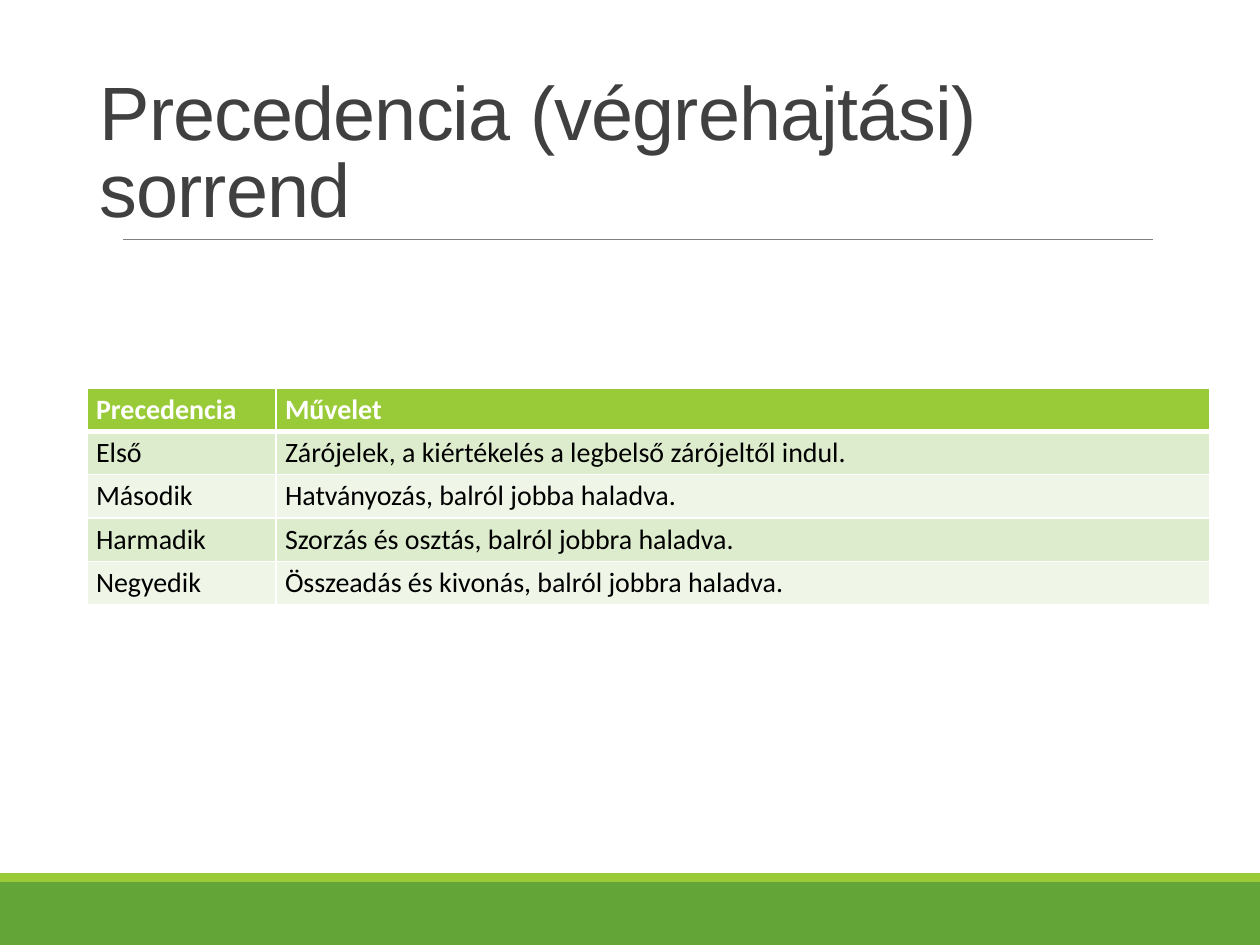
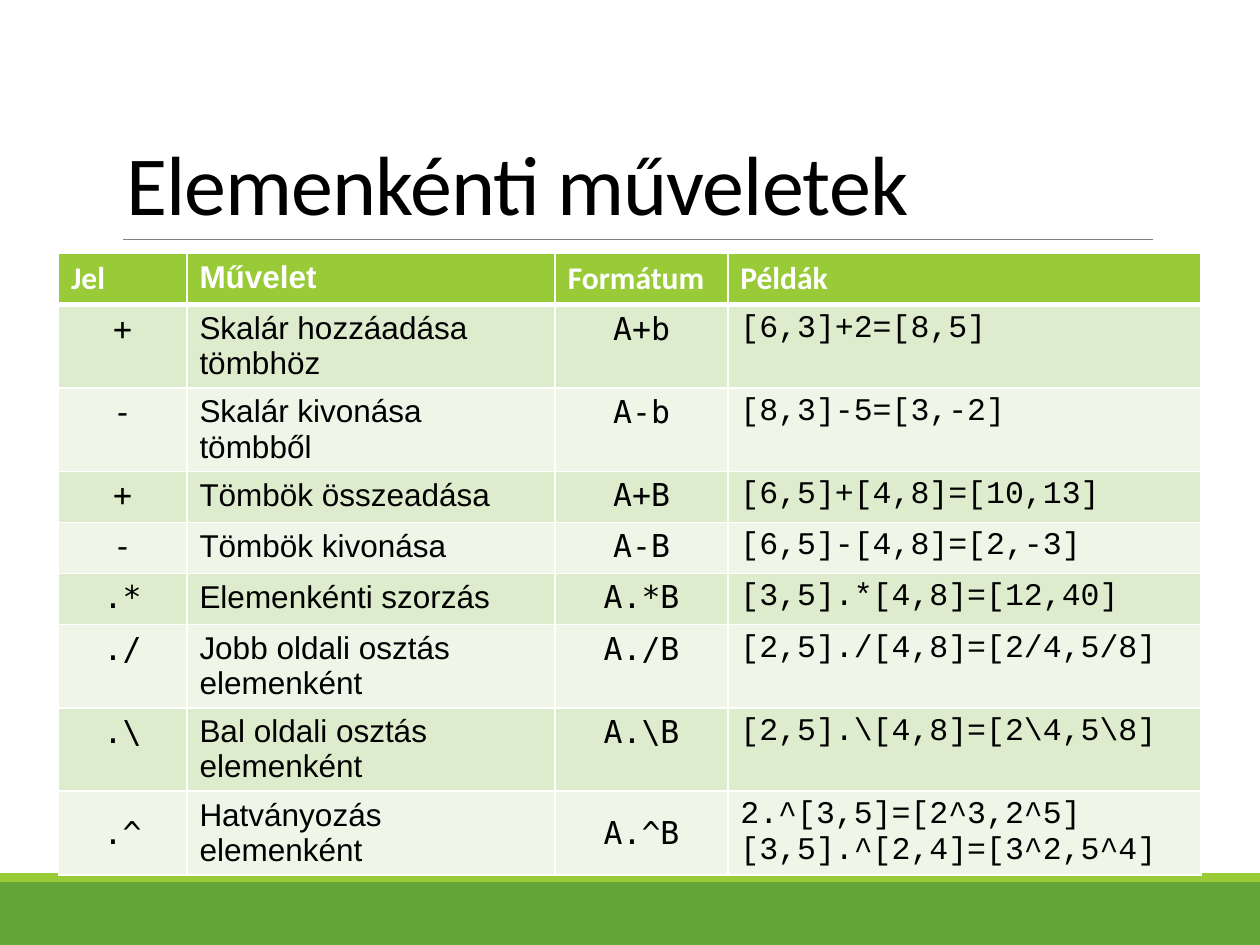
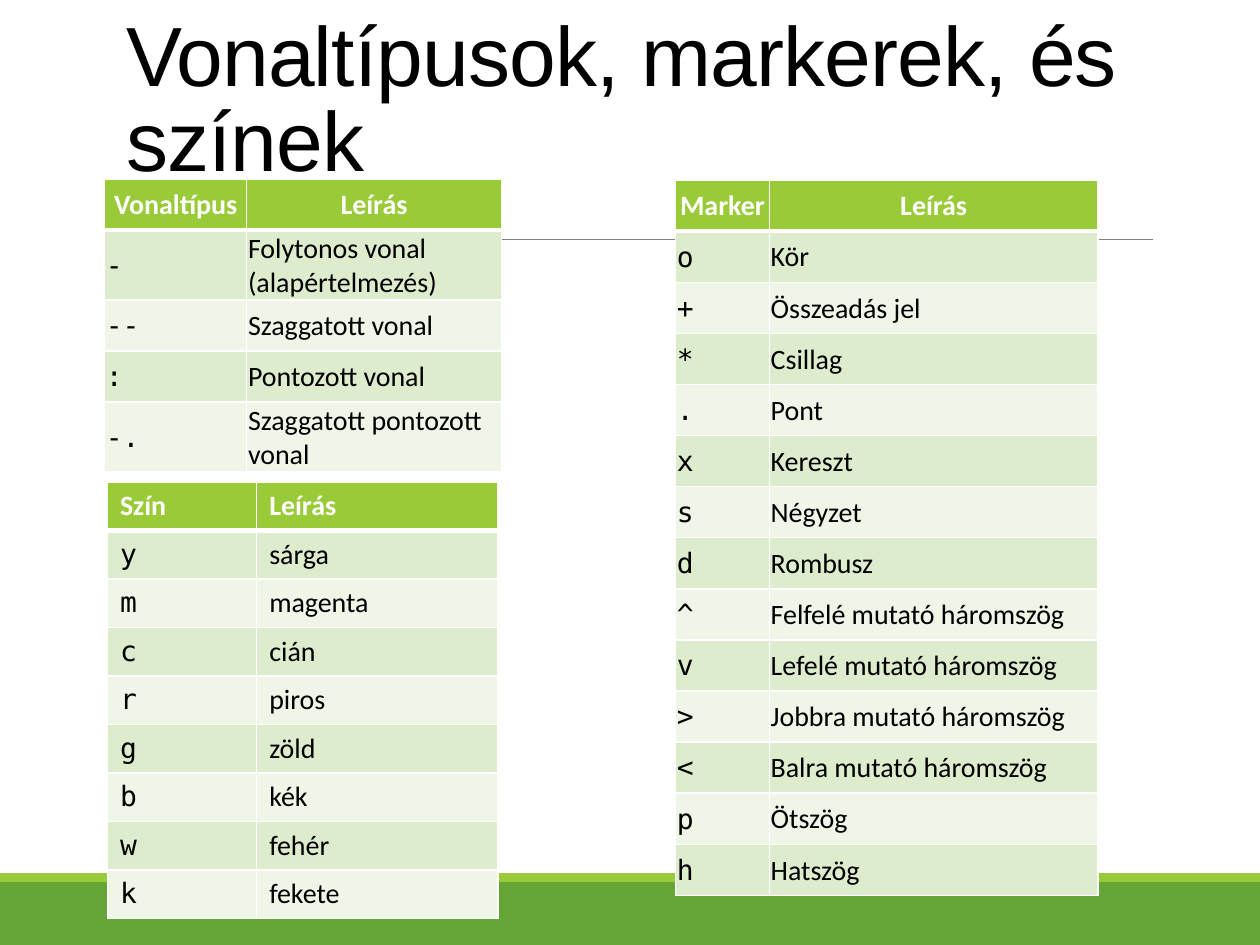
from dataclasses import dataclass

import lxml.etree
import pptx
import pptx.dml.color
import pptx.enum.shapes
import pptx.enum.text
import pptx.oxml.ns
import pptx.util

Pt = pptx.util.Pt
qn = pptx.oxml.ns.qn
Align = pptx.enum.text.PP_ALIGN
Anchor = pptx.enum.text.MSO_ANCHOR
LEFT, MID = Align.LEFT, Align.CENTER


@dataclass(frozen=True)
class Theme:
    white: str = "FFFFFF"
    black: str = "000000"
    gray: str = "404040"
    rule: str = "808080"
    green: str = "63A537"
    lime: str = "99CB38"
    tints: tuple = ("DEECCE", "EFF6E8")
    sans: str = "Calibri"
    arial: str = "Arial"
    mono: str = "DejaVu Sans Mono"
    code: str = "Courier New"
    head: float = 48
    small_head: float = 43.2
    large: float = 18
    text: float = 16
    thin: float = 1
    thick: float = 3


def rgb(value):
    return pptx.dml.color.RGBColor.from_string(value)


class Deck:
    def __init__(self, theme):
        self.theme = theme
        self.file = pptx.Presentation()
        self.file.slide_width, self.file.slide_height = Pt(720), Pt(540)
        self.plan = self.file.slide_layouts[5]
        self.slide = None

    def start(self):
        first = self.slide is None
        self.slide = self.file.slides.add_slide(self.plan)
        if first:
            self.frame()

    def frame(self):
        """Draw the shared bands and rule, then move them to the layout."""
        parts = (
            self.band(504, 36, self.theme.green),
            self.band(499, 5, self.theme.lime),
            self.line(70.56, 136.8, 658.8),
        )
        for spot, part in enumerate(parts, 2):
            self.plan.shapes.element.insert(spot, part.element)

    def band(self, top, height, color):
        kind = pptx.enum.shapes.MSO_SHAPE.RECTANGLE
        band = self.slide.shapes.add_shape(kind, 0, Pt(top), Pt(720), Pt(height))
        band.shadow.inherit = False
        band.fill.solid()
        band.fill.fore_color.rgb = rgb(color)
        band.line.fill.background()
        return band

    def line(self, left, top, right):
        kind = pptx.enum.shapes.MSO_CONNECTOR.STRAIGHT
        line = self.slide.shapes.add_connector(kind, Pt(left), Pt(top), Pt(right), Pt(top))
        line.line.color.rgb = rgb(self.theme.rule)
        line.line.width = Pt(0.5)
        lxml.etree.SubElement(line.element.spPr, qn("a:effectLst"))
        return line

    def run(self, para, text, font, size, color, bold=False):
        run = para.add_run()
        run.text = text
        run.font.name, run.font.size, run.font.bold = font, Pt(size), bold
        run.font.color.rgb = rgb(color)
        return run

    def title(self, text, box, font, size, color):
        shape = self.slide.shapes.title
        shape.left, shape.top, shape.width, shape.height = map(Pt, box)
        frame = shape.text_frame
        frame.auto_size = pptx.enum.text.MSO_AUTO_SIZE.NONE
        frame.word_wrap = True
        frame.vertical_anchor = Anchor.BOTTOM
        para = frame.paragraphs[0]
        para.alignment, para.line_spacing = LEFT, 0.85
        run = self.run(para, text, font, size, color)
        run.font._element.set("spc", "-50")

    def edge(self, cell, row):
        """Add white cell borders, thick between head and body."""
        props = cell._tc.get_or_add_tcPr()
        for side in "LRTB":
            thick = (side, row) in (("B", 0), ("T", 1))
            width = Pt(self.theme.thick if thick else self.theme.thin)
            line = lxml.etree.SubElement(props, qn("a:ln" + side), w=str(width))
            fill = lxml.etree.SubElement(line, qn("a:solidFill"))
            lxml.etree.SubElement(fill, qn("a:srgbClr"), val=self.theme.white)

    def cell(self, cell, text, row, font, size, align, pad, anchor):
        theme = self.theme
        self.edge(cell, row)
        cell.fill.solid()
        cell.fill.fore_color.rgb = rgb(theme.tints[(row - 1) % 2] if row else theme.lime)
        (cell.margin_left, cell.margin_top,
         cell.margin_right, cell.margin_bottom) = map(Pt, pad)
        cell.vertical_anchor = anchor
        frame = cell.text_frame
        for i, part in enumerate(text.split("\n")):
            para = frame.add_paragraph() if i else frame.paragraphs[0]
            para.alignment = align
            color = theme.black if row else theme.white
            self.run(para, part, font, size, color, bold=not row)

    def table(self, spot, cols, highs, rows, size, pad=(7.2, 3.6, 7.2, 3.6),
              head=LEFT, anchor=Anchor.TOP):
        """Each of cols is (width, body font, body alignment, head font)."""
        wide = sum(col[0] for col in cols)
        shape = self.slide.shapes.add_table(
            len(rows), len(cols), *map(Pt, (*spot, wide, sum(highs))))
        grid = shape.table
        for c, col in enumerate(cols):
            grid.columns[c].width = Pt(col[0])
        for r, (high, texts) in enumerate(zip(highs, rows)):
            grid.rows[r].height = Pt(high)
            for c, text in enumerate(texts):
                _, font, align, top = cols[c]
                if r == 0:
                    font, align = top, head
                self.cell(grid.cell(r, c), text, r, font, size, align, pad, anchor)
        return grid


def order(deck):
    theme = deck.theme
    deck.start()
    deck.title("Precedencia (végrehajtási) sorrend", (49.68, 95.76, 620.64, 41.04),
               theme.arial, theme.small_head, theme.gray)
    rows = (
        ("Precedencia", "Művelet"),
        ("Első", "Zárójelek, a kiértékelés a legbelső zárójeltől indul."),
        ("Második", "Hatványozás, balról jobba haladva."),
        ("Harmadik", "Szorzás és osztás, balról jobbra haladva."),
        ("Negyedik", "Összeadás és kivonás, balról jobbra haladva."),
    )
    cols = [(width, theme.sans, LEFT, theme.sans) for width in (108, 533.5)]
    deck.table((49.68, 221.76), cols, [24.7] * 5, rows, theme.text,
               pad=(5.2, 2.6, 5.2, 2.6))


def maths(deck):
    theme = deck.theme
    deck.start()
    deck.title("Elemenkénti műveletek", (64.8, 22.32, 594, 114.48),
               theme.sans, theme.head, theme.black)
    rows = (
        ("Jel", "Művelet", "Formátum", "Példák"),
        ("+", "Skalár hozzáadása tömbhöz", "A+b", "[6,3]+2=[8,5]"),
        ("-", "Skalár kivonása tömbből", "A-b", "[8,3]-5=[3,-2]"),
        ("+", "Tömbök összeadása", "A+B", "[6,5]+[4,8]=[10,13]"),
        ("-", "Tömbök kivonása", "A-B", "[6,5]-[4,8]=[2,-3]"),
        (".*", "Elemenkénti szorzás", "A.*B", "[3,5].*[4,8]=[12,40]"),
        ("./", "Jobb oldali osztás elemenként", "A./B", "[2,5]./[4,8]=[2/4,5/8]"),
        (".\\", "Bal oldali osztás elemenként", r"A.\B", r"[2,5].\[4,8]=[2\4,5\8]"),
        (".^", "Hatványozás elemenként", "A.^B",
         "2.^[3,5]=[2^3,2^5]\n[3,5].^[2,4]=[3^2,5^4]"),
    )
    cols = (
        (73.44, theme.mono, MID, theme.sans),
        (210.5, theme.arial, LEFT, theme.arial),
        (98.64, theme.mono, MID, theme.sans),
        (270.5, theme.code, LEFT, theme.sans),
    )
    one, two = 29.2, 47.6
    highs = (one, two, two, one, one, one, two, two, two)
    grid = deck.table((33.4, 144.9), cols, highs, rows, theme.large)
    for c in range(3):
        grid.cell(len(rows) - 1, c).vertical_anchor = Anchor.MIDDLE


def marks(deck):
    theme = deck.theme
    deck.start()
    deck.title("Vonaltípusok, markerek, és színek", (64.8, 0, 594, 111.6),
               theme.arial, theme.head, theme.black)
    lines = (
        ("Vonaltípus", "Leírás"),
        ("-", "Folytonos vonal (alapértelmezés)"),
        ("--", "Szaggatott vonal"),
        (":", "Pontozott vonal"),
        ("-.", "Szaggatott pontozott vonal"),
    )
    points = (
        ("Marker", "Leírás"),
        ("o", "Kör"),
        ("+", "Összeadás jel"),
        ("*", "Csillag"),
        (".", "Pont"),
        ("x", "Kereszt"),
        ("s", "Négyzet"),
        ("d", "Rombusz"),
        ("^", "Felfelé mutató háromszög"),
        ("v", "Lefelé mutató háromszög"),
        (">", "Jobbra mutató háromszög"),
        ("<", "Balra mutató háromszög"),
        ("p", "Ötszög"),
        ("h", "Hatszög"),
    )
    tones = (
        ("Szín", "Leírás"),
        ("y", "sárga"),
        ("m", "magenta"),
        ("c", "cián"),
        ("r", "piros"),
        ("g", "zöld"),
        ("b", "kék"),
        ("w", "fehér"),
        ("k", "fekete"),
    )

    def pair(key, note):
        return ((key, theme.mono, LEFT, theme.sans), (note, theme.sans, LEFT, theme.sans))

    tight = dict(size=theme.text, pad=(0.75, 0.75, 0.75, 0), head=MID, anchor=Anchor.MIDDLE)
    one, two = 29.2, 39.2
    deck.table((59.8, 102.3), pair(81.2, 145.5), (one, two, one, one, two), lines, **tight)
    deck.table((386, 102.9), pair(53.7, 187.7), [one] * len(points), points, **tight)
    deck.table((61.4, 275.4), pair(85.3, 138), [27.75] * len(tones), tones, theme.text,
               anchor=Anchor.MIDDLE)


def main():
    deck = Deck(Theme())
    for build in (order, maths, marks):
        build(deck)
    deck.file.save("out.pptx")


if __name__ == "__main__":
    main()
